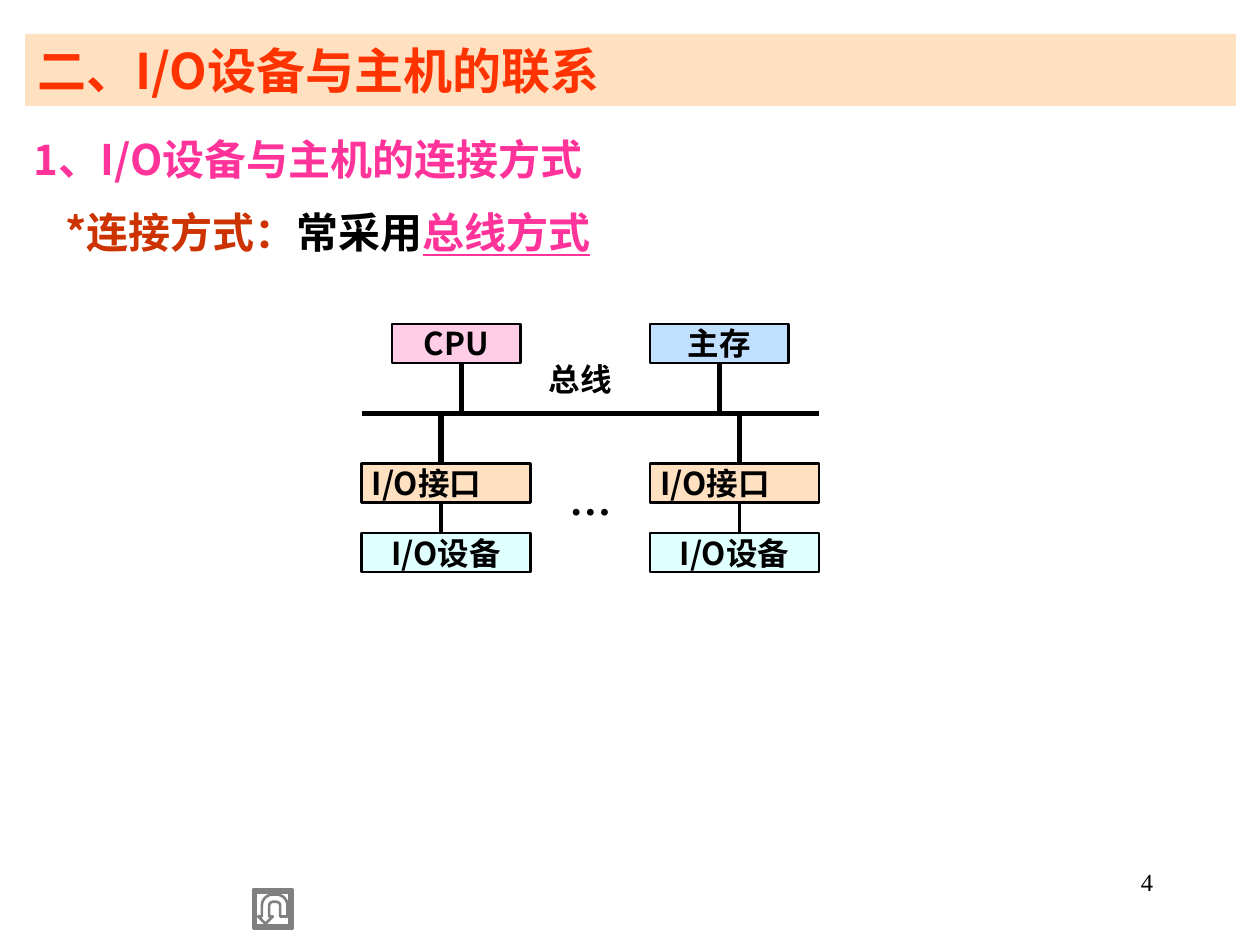
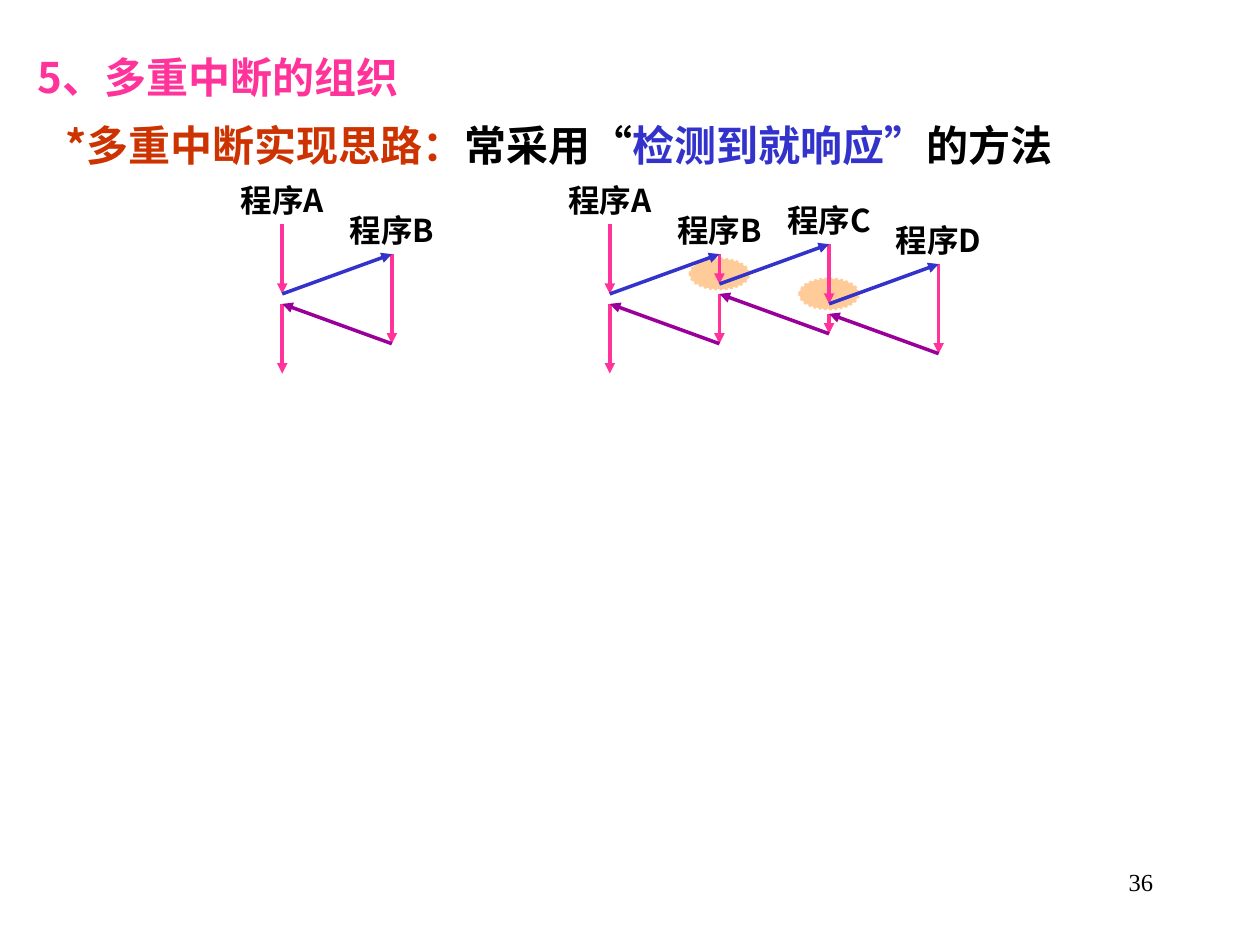
"""Build two lecture slides on the I/O bus connection and on nested interrupts."""
from lxml import etree
from pptx import Presentation
from pptx.dml.color import RGBColor
from pptx.enum.dml import MSO_LINE
from pptx.enum.shapes import MSO_CONNECTOR, MSO_SHAPE
from pptx.enum.text import MSO_ANCHOR, PP_ALIGN
from pptx.oxml.ns import qn
from pptx.util import Inches, Pt

RECT, ELLIPSE, BEVEL = MSO_SHAPE.RECTANGLE, MSO_SHAPE.OVAL, MSO_SHAPE.BEVEL
RETURN_BUTTON = MSO_SHAPE.ACTION_BUTTON_RETURN
STRAIGHT, DOTTED = MSO_CONNECTOR.STRAIGHT, MSO_LINE.ROUND_DOT
LEFT, CENTER, RIGHT = PP_ALIGN.LEFT, PP_ALIGN.CENTER, PP_ALIGN.RIGHT
TOP, MIDDLE = MSO_ANCHOR.TOP, MSO_ANCHOR.MIDDLE

BLACK = RGBColor(0, 0, 0)
GRAY = RGBColor(0x80, 0x80, 0x80)
RED = RGBColor(0xFF, 0x33, 0x00)
BRICK = RGBColor(0xCC, 0x33, 0x00)
PINK = RGBColor(0xFF, 0x33, 0x99)
BLUE = RGBColor(0x33, 0x33, 0xCC)
PURPLE = RGBColor(0x99, 0x00, 0x99)
PEACH = RGBColor(0xFF, 0xCC, 0x99)
ROSE = RGBColor(0xFF, 0x99, 0xCC)
SKY = RGBColor(0x99, 0xCC, 0xFF)
AQUA = RGBColor(0xCC, 0xFF, 0xFF)

SANS, SERIF = "Noto Sans CJK SC", "Times New Roman"
WIDE_INSETS, TIGHT_INSETS = (0.1, 0.05), (0.02, 0.01)
BULLET_INDENT = 0.22

BAND_TITLE = [("二、I/O设备与主机的联系", RED)]
BUS_HEADING = [("1、I/O设备与主机的连接方式", PINK)]
BUS_POINT = [("*连接方式：", BRICK), ("常采用", BLACK), ("总线方式", PINK, {"underline": True})]
INTERRUPT_HEADING = [("5、多重中断的组织", PINK)]
INTERRUPT_POINT = [
    ("*多重中断实现思路：", BRICK), ("常采用", BLACK), ("“", BLACK, {"name": SERIF}),
    ("检测到就响应”", BLUE, {"name": SERIF}), ("的方法", BLACK),
]

BUS_LEFT, BUS_RIGHT, BUS_Y = 2.87, 6.5, 3.28
TOP_Y, INTERFACE_Y, DEVICE_Y = 2.57, 3.68, 4.23
NODE_HEIGHT, IO_WIDTH = 0.31, 1.34
TOP_NODES = [("CPU", 3.11, 1.02, ROSE, 49, 3.66), ("主存", 5.16, 1.1, SKY, 60, 5.71)]
IO_COLUMNS = [(BUS_LEFT, 3.5), (BUS_RIGHT - IO_WIDTH, 5.87)]

PROGRAM_PITCH, STEP, TIME_ZERO = 0.87, 0.079, 1.78
LABEL_WIDTH, LABEL_HEIGHT = 0.79, 0.39
MARK_WIDTH, MARK_HEIGHT = 0.47, 0.24
SINGLE_INTERRUPT = [("A", [(0, 7), (8, 15)]), ("B", [(3, 12)])]
NESTED_INTERRUPTS = [
    ("A", [(0, 7), (8, 15)]), ("B", [(3, 6), (7, 12)]),
    ("C", [(2, 8), (9, 11)]), ("D", [(4, 13)]),
]
TIMELINES = [(2.24, SINGLE_INTERRUPT), (4.84, NESTED_INTERRUPTS)]


def write(box, paragraphs, size, font=SANS, bold=True, align=LEFT, anchor=TOP, insets=WIDE_INSETS):
    """Fill a box with paragraphs of (spans, line spacing, indent)."""
    frame = box.text_frame
    frame.word_wrap, frame.vertical_anchor = True, anchor
    frame.margin_left = frame.margin_right = Inches(insets[0])
    frame.margin_top = frame.margin_bottom = Inches(insets[1])
    for index, (spans, spacing, indent) in enumerate(paragraphs):
        para = frame.add_paragraph() if index else frame.paragraphs[0]
        para.alignment, para.line_spacing = align, spacing
        if indent:
            properties = para._p.get_or_add_pPr()
            properties.set("marL", str(Inches(indent)))
            properties.set("indent", "0")
        para.font.size, para.font.bold, para.font.name = Pt(size), bold, font
        etree.SubElement(para.font._element, qn("a:ea"), typeface=SANS)
        for text, color, *extras in spans:
            span = para.add_run()
            span.text = text
            span.font.color.rgb = color
            for style in extras:
                for name, value in style.items():
                    setattr(span.font, name, value)


def add_text(page, at, paragraphs, size, **style):
    """Add a text box."""
    write(page.shapes.add_textbox(*map(Inches, at)), paragraphs, size, **style)


def add_label(page, at, text, size=18, **style):
    """Add a centred black diagram label."""
    options = {"align": CENTER, "anchor": MIDDLE, "insets": TIGHT_INSETS, **style}
    add_text(page, at, [([(text, BLACK)], 1, 0)], size, **options)


def add_figure(page, kind, at, fill=None, opacity=100, line=None):
    """Add a preset shape with an optional see-through fill and an outline."""
    shape = page.shapes.add_shape(kind, *map(Inches, at))
    shape.shadow.inherit = False
    if fill is None:
        shape.fill.background()
    else:
        shape.fill.solid()
        shape.fill.fore_color.rgb = fill
        if opacity < 100:
            color = shape._element.spPr.find(qn("a:solidFill"))[0]
            etree.SubElement(color, qn("a:alpha"), val=str(opacity * 1000))
    if line is None:
        shape.line.fill.background()
    else:
        shape.line.color.rgb, shape.line.width = line, Pt(1.5)
    return shape


def add_node(page, at, text, fill, opacity=60, align=CENTER, indent=0):
    """Add a labelled block of the bus diagram."""
    node = add_figure(page, RECT, at, fill, opacity, BLACK)
    write(node, [([(text, BLACK)], 1, indent)], 18, align=align, anchor=MIDDLE, insets=TIGHT_INSETS)


def add_line(page, start, end, color=BLACK, width=2.0, arrow=False):
    """Add a straight line, with an arrowhead at its end if asked."""
    line = page.shapes.add_connector(STRAIGHT, *map(Inches, (*start, *end)))
    line.line.color.rgb, line.line.width = color, Pt(width)
    if arrow:
        etree.SubElement(line.line._get_or_add_ln(), qn("a:tailEnd"), type="triangle")
    etree.SubElement(line._element.spPr, qn("a:effectLst"))


def add_page(deck, number):
    """Add a blank page with its number."""
    page = deck.slides.add_slide(deck.slide_layouts[6])
    add_text(page, (7.17, 6.83, 2.08, 0.5), [([(number, BLACK)], 1, 0)], 14,
             font=SERIF, bold=False, align=RIGHT)
    return page


def draw_bus(page):
    """Draw the processor, memory and I/O blocks on the shared bus."""
    for text, left, width, fill, opacity, stem in TOP_NODES:
        add_node(page, (left, TOP_Y, width, NODE_HEIGHT), text, fill, opacity)
        add_line(page, (stem, TOP_Y + NODE_HEIGHT), (stem, BUS_Y), width=3)
    add_line(page, (BUS_LEFT, BUS_Y), (BUS_RIGHT, BUS_Y), width=3)
    for left, stem in IO_COLUMNS:
        add_node(page, (left, INTERFACE_Y, IO_WIDTH, NODE_HEIGHT), "I/O接口", PEACH,
                 align=LEFT, indent=0.06)
        add_node(page, (left, DEVICE_Y, IO_WIDTH, NODE_HEIGHT), "I/O设备", AQUA)
        add_line(page, (stem, BUS_Y), (stem, INTERFACE_Y), width=3)
        add_line(page, (stem, INTERFACE_Y + NODE_HEIGHT), (stem, DEVICE_Y))
    add_label(page, (4.29, 2.89, 0.63, 0.23), "总线", font=SERIF)
    add_label(page, (4.37, 3.75, 0.63, 0.47), "…", 24, font=SERIF, anchor=TOP)


def draw_return_button(page):
    """Draw the bevelled return button."""
    at = (2.01, 7.06, 0.31, 0.31)
    add_figure(page, RETURN_BUTTON, at, line=GRAY).rotation = 180
    add_figure(page, BEVEL, at, line=GRAY).adjustments[0] = 0.07


def draw_timeline(page, left, programs):
    """Draw program runs, the calls between neighbours and their returns."""
    def point(column, step):
        return left + column * PROGRAM_PITCH, TIME_ZERO + step * STEP

    for column, (_, runs) in enumerate(programs):
        if column and len(runs) > 1:
            x, y = point(column, runs[0][1] - 1)
            mark = add_figure(page, ELLIPSE, (x - MARK_WIDTH / 2, y - MARK_HEIGHT / 2,
                                              MARK_WIDTH, MARK_HEIGHT), PEACH, line=PEACH)
            mark.line.dash_style = DOTTED
    for column, (name, runs) in enumerate(programs):
        x, y = point(column, runs[0][0])
        add_label(page, (x - LABEL_WIDTH / 2, y - LABEL_HEIGHT, LABEL_WIDTH, LABEL_HEIGHT),
                  f"程序{name}")
        for start, end in runs:
            add_line(page, point(column, start), point(column, end), PINK, arrow=True)
    for column, ((_, caller), (_, handler)) in enumerate(zip(programs, programs[1:])):
        add_line(page, point(column, caller[0][1]), point(column + 1, handler[0][0]),
                 BLUE, arrow=True)
        add_line(page, point(column + 1, handler[-1][1]), point(column, caller[1][0]),
                 PURPLE, arrow=True)


def main():
    """Build and save the deck."""
    deck = Presentation()
    deck.slide_width, deck.slide_height = Inches(10), Inches(7.5)

    page = add_page(deck, "4")
    band = add_figure(page, RECT, (0.2, 0.27, 9.61, 0.57), PEACH, 60)
    write(band, [(BAND_TITLE, 1, 0)], 28)
    add_text(page, (0.17, 0.91, 9.64, 0.6), [(BUS_HEADING, 1.25, 0)], 24)
    add_text(page, (0.2, 1.49, 9.64, 0.6), [(BUS_POINT, 1.25, BULLET_INDENT)], 24)
    draw_bus(page)
    draw_return_button(page)

    page = add_page(deck, "36")
    add_text(page, (0.2, 0.26, 9.61, 1.14),
             [(INTERRUPT_HEADING, 1.25, 0), (INTERRUPT_POINT, 1.35, BULLET_INDENT)], 24)
    for left, programs in TIMELINES:
        draw_timeline(page, left, programs)

    deck.save("out.pptx")


if __name__ == "__main__":
    main()
